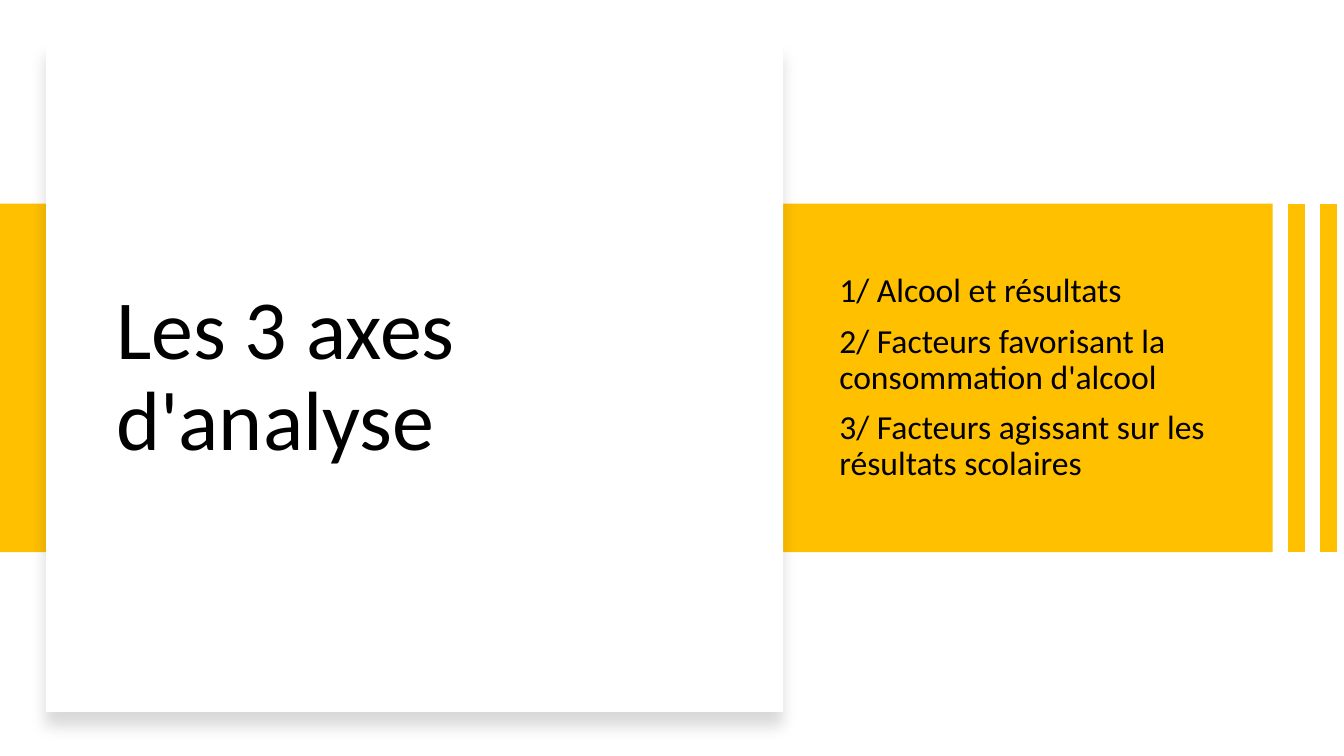
import dataclasses

import pptx
import pptx.dml.color
import pptx.enum.shapes
import pptx.enum.text
import pptx.oxml
import pptx.oxml.ns
import pptx.util


@dataclasses.dataclass(frozen=True)
class Theme:
    band: str = "FFC000"
    card: str = "FFFFFF"
    text: str = "000000"
    font: str = "Calibri"
    title_size: int = 60
    axis_size: int = 24
    stripe_width: int = 12


THEME = Theme()
AXES = [
    "1/ Alcool et résultats",
    "2/ Facteurs favorisant la consommation d'alcool",
    "3/ Facteurs agissant sur les résultats scolaires",
]
BAND_TOP, BAND_HEIGHT = 194, 332
STRIPES = (1235, 1265)


def px(n):
    return pptx.util.Emu(n * 9525)


def rgb(color):
    return pptx.dml.color.RGBColor.from_string(color)


def add_rect(s, x, y, w, h, color):
    sp = s.shapes.add_shape(
        pptx.enum.shapes.MSO_SHAPE.RECTANGLE, px(x), px(y), px(w), px(h)
    )
    sp.shadow.inherit = False
    sp.fill.solid()
    sp.fill.fore_color.rgb = rgb(color)
    sp.line.fill.background()
    return sp


def add_stripe(s, x):
    line = s.shapes.add_connector(
        pptx.enum.shapes.MSO_CONNECTOR.STRAIGHT,
        px(x), px(BAND_TOP), px(x), px(BAND_TOP + BAND_HEIGHT),
    )
    line.line.color.rgb = rgb(THEME.band)
    line.line.width = pptx.util.Pt(THEME.stripe_width)
    line._element.spPr.append(pptx.oxml.parse_xml(
        f'<a:effectLst {pptx.oxml.ns.nsdecls("a")}/>'
    ))


def add_soft_shadow(sp):
    effects = sp._element.spPr.find(pptx.oxml.ns.qn("a:effectLst"))
    effects.append(pptx.oxml.parse_xml(
        f'<a:outerShdw {pptx.oxml.ns.nsdecls("a")} blurRad="139700" '
        'dist="127000" dir="5400000" algn="t" rotWithShape="0">'
        '<a:srgbClr val="000000"><a:alpha val="15000"/></a:srgbClr>'
        '</a:outerShdw>'
    ))


def write_text(sp, lines, size, space_before=0):
    tf = sp.text_frame
    tf.text = "\n".join(lines)
    tf.word_wrap = True
    tf.auto_size = pptx.enum.text.MSO_AUTO_SIZE.NONE
    tf.vertical_anchor = pptx.enum.text.MSO_ANCHOR.MIDDLE
    for p in tf.paragraphs:
        p.alignment = pptx.enum.text.PP_ALIGN.LEFT
        p.line_spacing = 0.9
        p.space_before = pptx.util.Pt(space_before)
        p.font.name = THEME.font
        p.font.size = pptx.util.Pt(size)
        p.font.color.rgb = rgb(THEME.text)


def add_title(s, x, y, w, h, text):
    title = s.shapes.title
    title.left, title.top, title.width, title.height = map(px, (x, y, w, h))
    s.shapes._spTree.append(title._element)
    write_text(title, [text], THEME.title_size)


def add_axes(s, x, y, w, h):
    box = s.shapes.add_textbox(px(x), px(y), px(w), px(h))
    write_text(box, AXES, THEME.axis_size, space_before=10)


def main():
    prs = pptx.Presentation()
    prs.slide_width, prs.slide_height = px(1280), px(720)
    s = prs.slides.add_slide(prs.slide_layouts.get_by_name("Title Only"))
    add_rect(s, 0, BAND_TOP, 1212, BAND_HEIGHT, THEME.band)
    for x in STRIPES:
        add_stripe(s, x)
    add_soft_shadow(add_rect(s, 44, 41, 702, 637, THEME.card))
    add_title(s, 101, 102, 588, 516, "Les 3 axes d'analyse")
    add_axes(s, 790, 249, 380, 223)
    prs.save("out.pptx")


if __name__ == "__main__":
    main()
